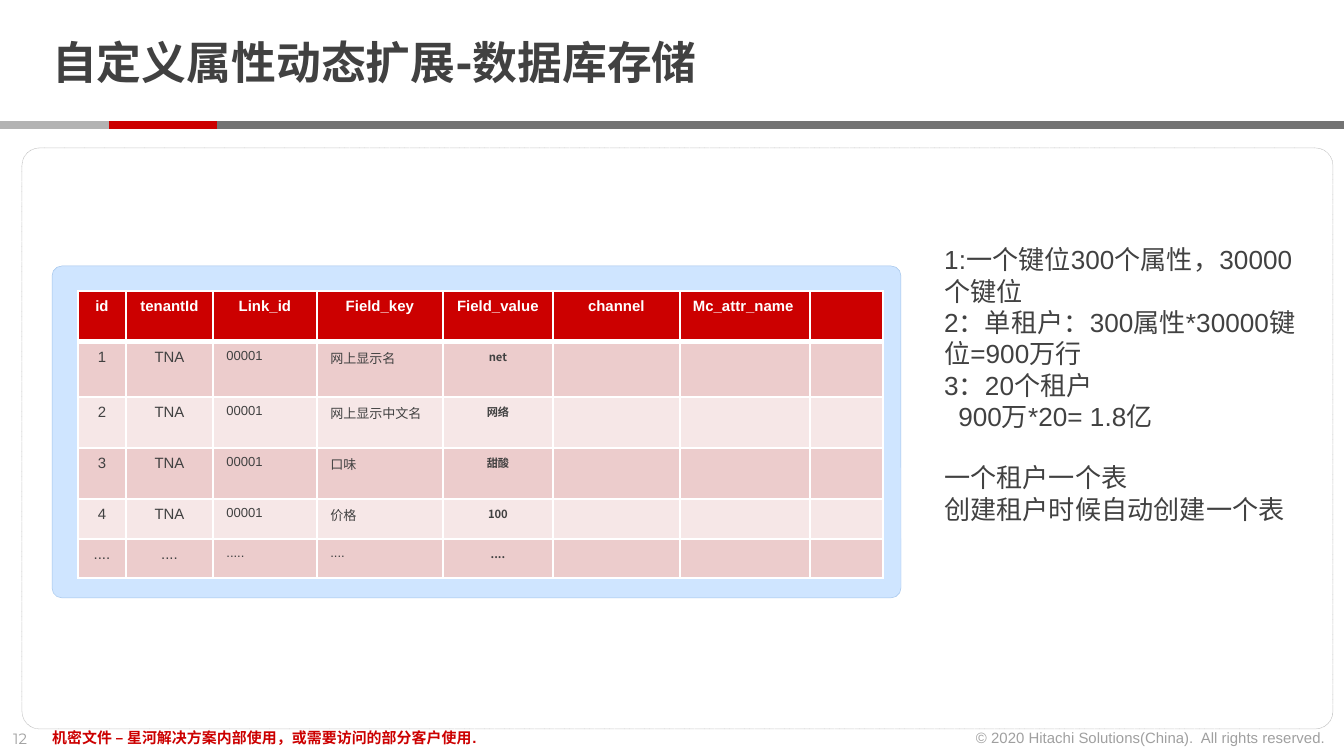
from lxml import etree
from pptx import Presentation, util as u
from pptx.dml.color import RGBColor
from pptx.enum import dml, shapes, text
from pptx.oxml import ns

PX = 914400 / 134.4
THEME = {
    "ink": "414141", "red": "CC0000", "grey": "737373", "pale": "B3B3B3",
    "white": "FFFFFF", "sky": "B3D7FF", "rim": "A3C4EA",
    "odd": "ECCCCC", "even": "F6E7E7",
    "sans": "Arial", "head": "Montserrat", "han": "Noto Sans CJK SC",
    "title": 24, "note": 14, "cell": 8, "data": 7, "value": 6, "foot": 8,
}
LEFT, MID, RIGHT = text.PP_ALIGN.LEFT, text.PP_ALIGN.CENTER, text.PP_ALIGN.RIGHT


def px(*nums):
    return [u.Emu(round(n * PX)) for n in nums]


def write(para, words, size, ink="ink", face="sans", bold=False, align=LEFT, alpha=None):
    """Add one styled run; alpha is a percentage."""
    para.alignment = align
    run = para.add_run()
    run.text = words
    look = {"size": u.Pt(THEME[size]), "name": THEME[face], "bold": bold}
    for key, val in look.items():
        setattr(run.font, key, val)
    run.font.color.rgb = RGBColor.from_string(THEME[ink])
    if alpha:
        tone = run.font._element.find(".//" + ns.qn("a:srgbClr"))
        etree.SubElement(tone, ns.qn("a:alpha"), val=str(alpha * 1000))


prs = Presentation()
prs.slide_width, prs.slide_height = px(1344, 756)
slide = prs.slides.add_slide(prs.slide_layouts[6])
items = slide.shapes

# Rule below the title
for left, width, tone in [(217, 1127, "grey"), (109, 108, "red"), (0, 109, "pale")]:
    bar = items.add_shape(shapes.MSO_SHAPE.RECTANGLE, *px(left, 121, width, 8))
    bar.shadow.inherit = False
    bar.fill.solid()
    bar.fill.fore_color.rgb = RGBColor.from_string(THEME[tone])
    bar.line.fill.background()

# Title and footer
labels = [
    ((39, 17, 1036, 98), "自定义属性动态扩展-数据库存储", True,
     {"size": "title", "face": "head", "bold": True}),
    ((0, 723, 46, 32), "12", False, {"size": "foot", "face": "head", "alpha": 50}),
    ((39, 722, 906, 32), "机密文件 – 星河解决方案内部使用，或需要访问的部分客户使用.", True,
     {"size": "foot", "ink": "red", "bold": True}),
    ((957, 722, 382, 32), "© 2020 Hitachi Solutions(China).  All rights reserved.", False,
     {"size": "foot", "align": RIGHT, "alpha": 50}),
]
for place, words, wrap, style in labels:
    frame = items.add_textbox(*px(*place)).text_frame
    frame.word_wrap = wrap
    write(frame.paragraphs[0], words, **style)
    if style["size"] == "title":
        frame.vertical_anchor = text.MSO_ANCHOR.MIDDLE
        frame.margin_top = frame.margin_bottom = 0
        frame.paragraphs[0].line_spacing = 0.85

# Outer frame and table panel
panels = [
    ((22, 148, 1311, 581), 0.03, None, "pale"),
    ((52, 266, 849, 332), 0.03, "sky", "rim"),
]
for place, curve, fill, line in panels:
    panel = items.add_shape(shapes.MSO_SHAPE.ROUNDED_RECTANGLE, *px(*place))
    panel.shadow.inherit = False
    panel.adjustments[0] = curve
    panel.line.color.rgb = RGBColor.from_string(THEME[line])
    panel.line.width = u.Pt(0.25)
    if fill:
        panel.fill.solid()
        panel.fill.fore_color.rgb = RGBColor.from_string(THEME[fill])
        tone = panel._element.spPr.find(ns.qn("a:solidFill")).find(ns.qn("a:srgbClr"))
        etree.SubElement(tone, ns.qn("a:alpha"), val="63000")
    else:
        panel.fill.background()
        panel.line.dash_style = dml.MSO_LINE.ROUND_DOT

# Attribute table
heads = ["id", "tenantId", "Link_id", "Field_key", "Field_value", "channel",
         "Mc_attr_name", ""]
rows = [heads] + [
    [key, "TNA", "00001", name, val, "", "", ""] for key, name, val in [
        ("1", "网上显示名", "net"), ("2", "网上显示中文名", "网络"),
        ("3", "口味", "甜酸"), ("4", "价格", "100")]
] + [["....", "....", ".....", "....", "....", "", "", ""]]
wide = [48, 87, 104, 126, 110, 127, 130, 73]
tall = [51, 55, 51, 51, 40, 39]
plain = {"size": "cell", "align": MID}
datum = {"size": "data"}
value = {"size": "value", "face": "han", "bold": True, "align": MID}
styles = [plain, plain, datum, datum, value, plain, plain, plain]

grid = items.add_table(len(rows), len(heads), *px(78, 291, sum(wide), sum(tall))).table
for col, width in zip(grid.columns, px(*wide)):
    col.width = width
for row, height in zip(grid.rows, px(*tall)):
    row.height = height
for r, row in enumerate(rows):
    tone = "red" if r == 0 else "odd" if r % 2 else "even"
    for c, words in enumerate(row):
        cell = grid.cell(r, c)
        cell.fill.solid()
        cell.fill.fore_color.rgb = RGBColor.from_string(THEME[tone])
        if r == 0:
            cell.margin_left, cell.margin_right = px(13, 8 if c == 6 else 13)
        if words == "tenantId":
            cell.margin_left = cell.margin_right = px(8)[0]
        para = cell.text_frame.paragraphs[0]
        if not words:
            etree.SubElement(para._p, ns.qn("a:endParaRPr"), sz=str(THEME["cell"] * 100))
        elif r == 0:
            write(para, words, "cell", "white", bold=True,
                  align=LEFT if words == "Mc_attr_name" else MID)
        else:
            write(para, words, **styles[c])
        props = cell._tc.get_or_add_tcPr()
        for i, side in enumerate("LRTB"):
            thick = 3 if (r, side) in [(0, "B"), (1, "T")] else 1
            edge = etree.Element(ns.qn("a:ln" + side), w=str(u.Pt(thick)))
            paint = etree.SubElement(edge, ns.qn("a:solidFill"))
            etree.SubElement(paint, ns.qn("a:srgbClr"), val=THEME["white"])
            props.insert(i, edge)

# Notes on data volume
notes = [
    "1:一个键位300个属性，30000个键位",
    "2：单租户：300属性*30000键位=900万行",
    "3：20个租户",
    "900万*20= 1.8亿",
    "一个租户一个表",
    "创建租户时候自动创建一个表",
]
note = items.add_shape(shapes.MSO_SHAPE.RECTANGLE, *px(931, 237, 399, 353))
note.shadow.inherit = False
note.fill.solid()
note.fill.fore_color.rgb = RGBColor.from_string(THEME["white"])
note.line.fill.background()
frame = note.text_frame
frame.word_wrap = True
frame.vertical_anchor = text.MSO_ANCHOR.TOP
for i, words in enumerate(notes):
    para = frame.paragraphs[0] if i == 0 else frame.add_paragraph()
    write(para, words, "note")
    if words.startswith("900"):
        para._p.get_or_add_pPr().set("marL", str(px(14)[0]))
    if words == "一个租户一个表":
        para.space_before = u.Pt(16)

prs.save("out.pptx")
